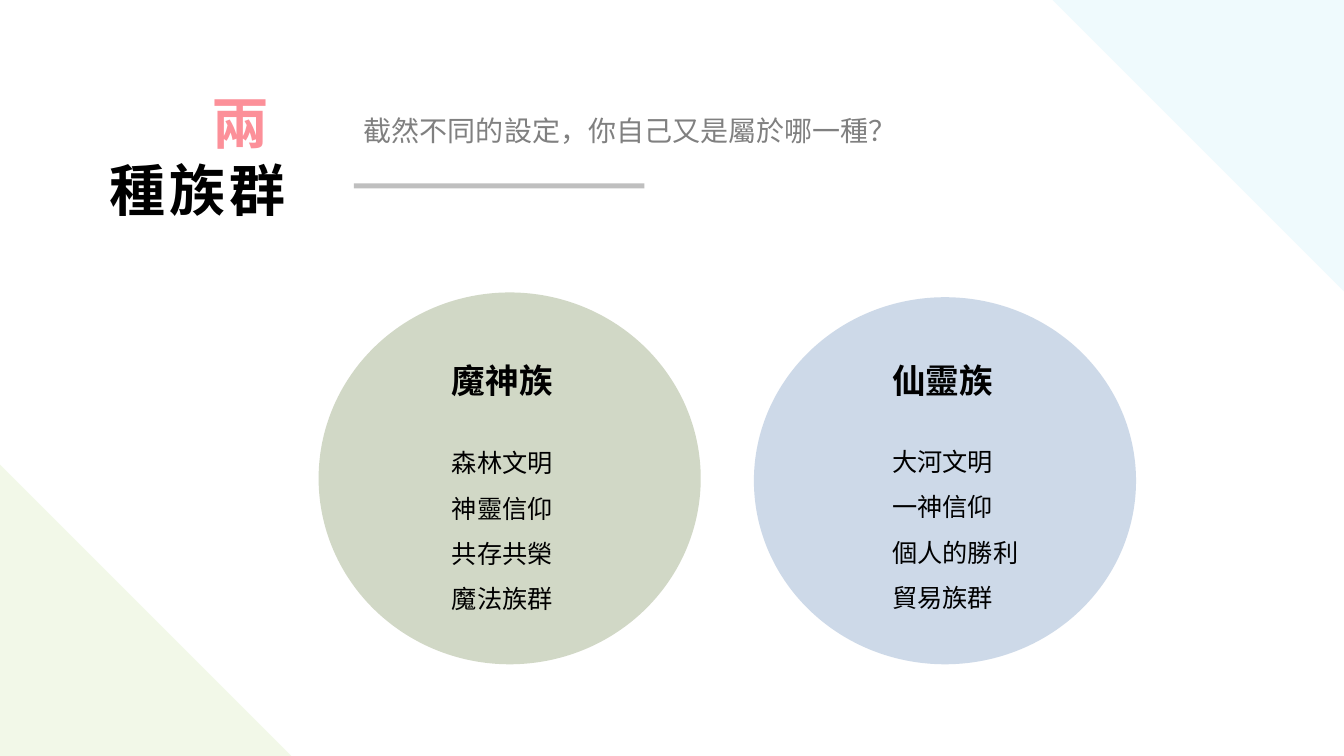
from pptx import Presentation
from pptx.dml.color import RGBColor
from pptx.enum.shapes import MSO_SHAPE
from pptx.enum.text import PP_ALIGN
from pptx.util import Cm, Pt
from lxml.etree import SubElement
from pptx.oxml.ns import qn
from dataclasses import dataclass

TITLE = [("兩 ", "accent"), ("種族群", "ink")]
QUESTION = ["截然不同的設定，你自己又是屬於哪一種？"]
TRIBES = [
    {"name": "魔神族", "traits": ["森林文明", "神靈信仰", "共存共榮", "魔法族群"],
     "disc": (8.03, 7.37), "color": "forest", "left": 11.14, "top": 10.77},
    {"name": "仙靈族", "traits": ["大河文明", "一神信仰", "個人的勝利", "貿易族群"],
     "disc": (19, 7.49), "color": "river", "left": 22.24, "top": 10.74},
]
WIDE, HIGH = 33.87, 19.05
CORNER = 7.34
DISC, BASE = 9.63, 16.74
NAME_TOP = 8.94
HEAD_LEFT = 8.92


@dataclass(frozen=True)
class Theme:
    font: str = "Montserrat"
    accent: str = "FC9099"
    ink: str = "000000"
    muted: str = "808080"
    rule: str = "BFBFBF"
    forest: str = "4B651D"
    river: str = "3B6BA6"
    sky: str = "D0F0FB"
    leaf: str = "EAF4D8"
    title: int = 40
    name: int = 24
    lead: int = 20
    body: int = 18


theme = Theme()
deck = Presentation()
deck.slide_width, deck.slide_height = Cm(WIDE), Cm(HIGH)
slide = deck.slides.add_slide(deck.slide_layouts[6])


def draw(kind, box, color, alpha=100, turn=0):
    shape = slide.shapes.add_shape(kind, *map(Cm, box))
    shape.shadow.inherit = False
    shape.line.fill.background()
    shape.fill.solid()
    shape.fill.fore_color.rgb = RGBColor.from_string(color)
    shape.rotation = turn
    if alpha < 100:
        tint = shape._element.spPr.find(qn("a:solidFill"))[0]
        SubElement(tint, qn("a:alpha")).set("val", str(alpha * 1000))


def write(lines, box, size, colors=(theme.ink,), bold=False,
          align=PP_ALIGN.LEFT, space=1.0, track=0):
    frame = slide.shapes.add_textbox(*map(Cm, box)).text_frame
    frame.word_wrap = True
    for i, line in enumerate(lines):
        para = frame.paragraphs[0] if i == 0 else frame.add_paragraph()
        para.alignment, para.line_spacing = align, space
        run = para.add_run()
        run.text = line
        font = run.font
        font.name, font.size, font.bold = theme.font, Pt(size), bold
        font.color.rgb = RGBColor.from_string(colors[i % len(colors)])
        if track:
            run._r.get_or_add_rPr().set("spc", str(track * 100))


write([text for text, _ in TITLE], (0, 2.11, 7.44, 3.68), theme.title,
      colors=[getattr(theme, color) for _, color in TITLE],
      bold=True, align=PP_ALIGN.RIGHT, track=3)
write(QUESTION, (HEAD_LEFT, 2.31, 13.94, 2.69), theme.lead,
      colors=[theme.muted], space=1.5)
draw(MSO_SHAPE.RECTANGLE, (HEAD_LEFT, 4.62, 7.32, 0.13), theme.rule)

for tribe in TRIBES:
    left, top = tribe["disc"]
    draw(MSO_SHAPE.OVAL, (left, top, DISC, BASE - top),
         getattr(theme, tribe["color"]), alpha=25)
    write([tribe["name"]], (tribe["left"], NAME_TOP, 5.77, 1.27),
          theme.name, bold=True)
    write(tribe["traits"], (tribe["left"], tribe["top"], 7.21, 4.75),
          theme.body, space=1.5)

draw(MSO_SHAPE.RIGHT_TRIANGLE, (WIDE - CORNER, 0, CORNER, CORNER),
     theme.sky, alpha=33, turn=180)
draw(MSO_SHAPE.RIGHT_TRIANGLE, (0, HIGH - CORNER, CORNER, CORNER),
     theme.leaf, alpha=58)

deck.save("out.pptx")
